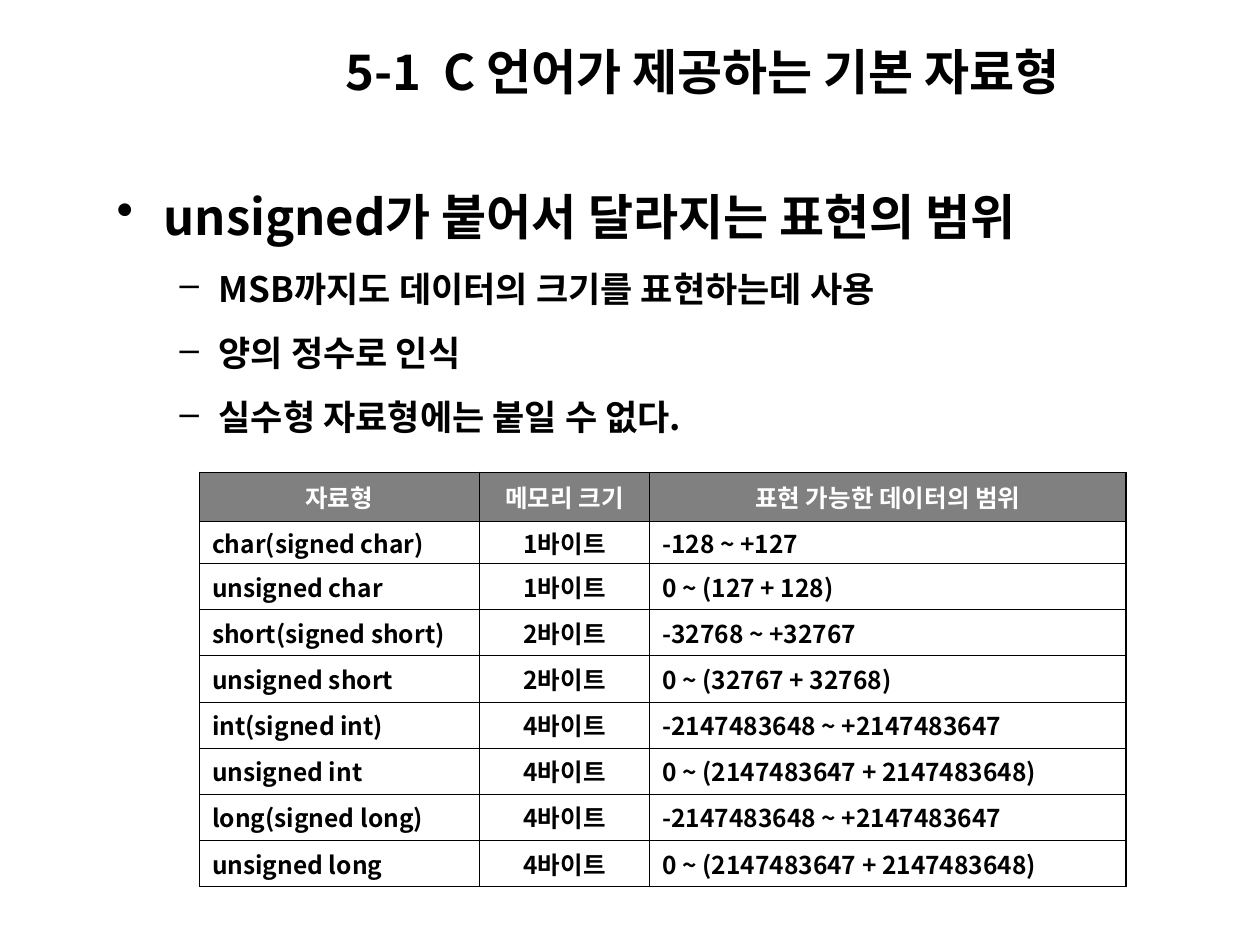
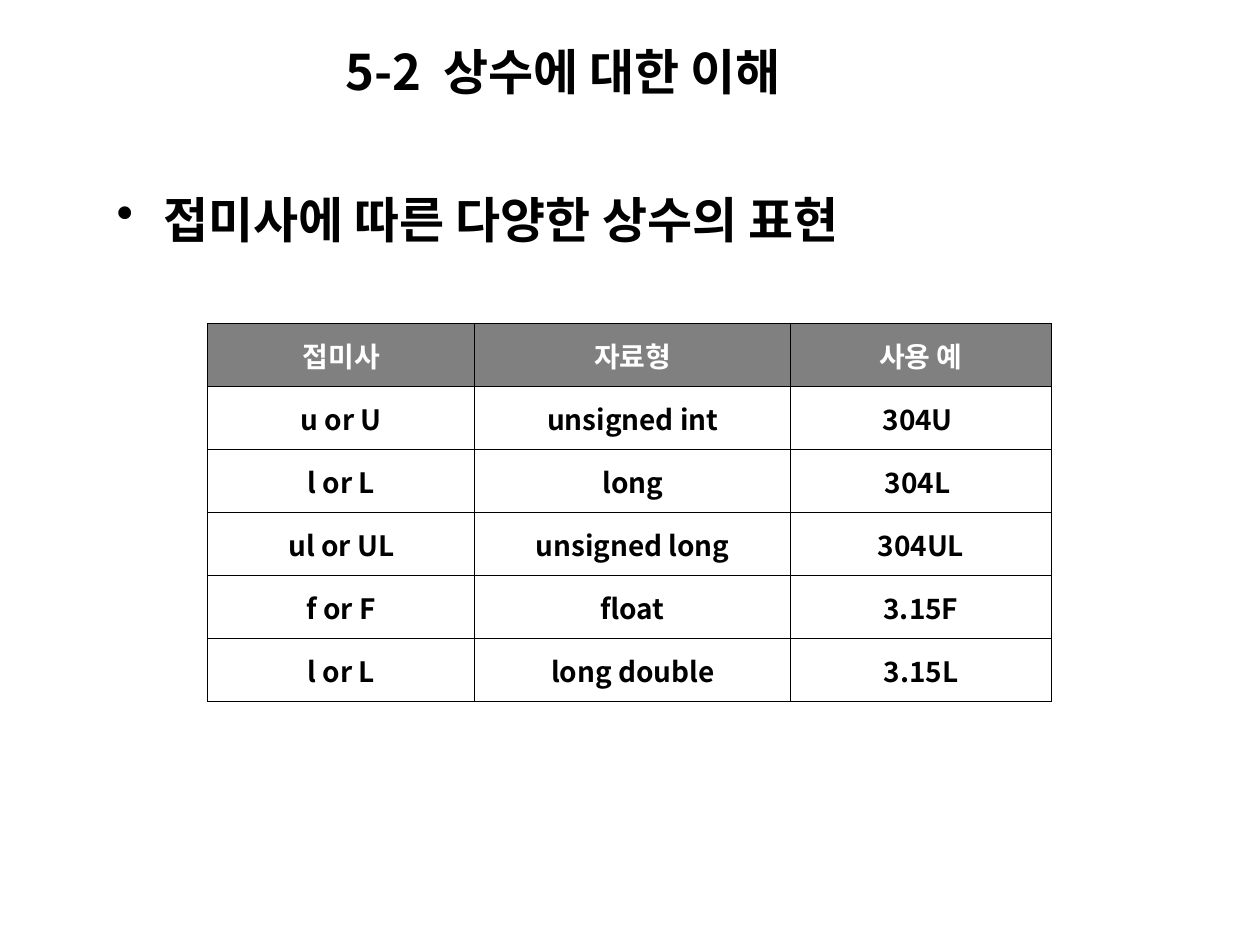
from lxml import etree
from pptx import Presentation
from pptx.dml import color
from pptx.enum import text
from pptx.oxml import ns
from pptx.util import Cm, Pt

FONT = "Noto Sans CJK KR"
BLACK, WHITE, GRAY = "000000", "FFFFFF", "808080"
OUTER, INNER = 0.75, 0.45
LEFT, CENTER = text.PP_ALIGN.LEFT, text.PP_ALIGN.CENTER
BULLETS = [
    {"mark": "•", "size": 28, "line": 46, "before": 7, "margin": 0.95, "hang": 0.95},
    {"mark": "–", "size": 20, "line": 31.7, "before": 5, "margin": 2.06, "hang": 0.79},
]

TYPE_ROWS = [
    ("자료형", "메모리 크기", "표현 가능한 데이터의 범위"),
    ("char(signed char)", "1바이트", "-128 ~ +127"),
    ("unsigned char", "1바이트", "0 ~ (127 + 128)"),
    ("short(signed short)", "2바이트", "-32768 ~ +32767"),
    ("unsigned short", "2바이트", "0 ~ (32767 + 32768)"),
    ("int(signed int)", "4바이트", "-2147483648 ~ +2147483647"),
    ("unsigned int", "4바이트", "0 ~ (2147483647 + 2147483648)"),
    ("long(signed long)", "4바이트", "-2147483648 ~ +2147483647"),
    ("unsigned long", "4바이트", "0 ~ (2147483647 + 2147483648)"),
]
SUFFIX_ROWS = [
    ("접미사", "자료형", "사용 예"),
    ("u or U", "unsigned int", "304U "),
    ("l or L", "long", "304L "),
    ("ul or UL", "unsigned long", "304UL"),
    ("f or F", "float", "3.15F"),
    ("l or L", "long double", "3.15L"),
]


def rgb(value):
    """Turn a hex string into a colour."""
    return color.RGBColor.from_string(value)


def add_element(parent, tag, **attributes):
    """Append a drawing element to a parent."""
    return etree.SubElement(parent, ns.qn(tag), attributes)


def style_runs(paragraph, size, hex_color=BLACK):
    """Give every run the shared bold typeface."""
    for run in paragraph.runs:
        run.font.name = FONT
        run.font.size = Pt(size)
        run.font.bold = True
        run.font.color.rgb = rgb(hex_color)
        add_element(run.font._element, "a:ea", typeface=FONT)


def add_text_frame(slide, box):
    """Add a wrapping text box and return its frame."""
    frame = slide.shapes.add_textbox(*map(Cm, box)).text_frame
    frame.word_wrap = True
    return frame


def add_title(slide, title, box):
    """Place the section title."""
    frame = add_text_frame(slide, box)
    frame.vertical_anchor = text.MSO_ANCHOR.MIDDLE
    frame.text = title
    style_runs(frame.paragraphs[0], 28)


def add_bullets(slide, items, box):
    """Place a list of (level, wording) bullets."""
    frame = add_text_frame(slide, box)
    for index, (level, wording) in enumerate(items):
        look = BULLETS[level]
        paragraph = frame.add_paragraph() if index else frame.paragraphs[0]
        paragraph.text = wording
        paragraph.level = level
        paragraph.line_spacing = Pt(look["line"])
        if index:
            paragraph.space_before = Pt(look["before"])
        properties = paragraph._p.get_or_add_pPr()
        properties.set("marL", str(Cm(look["margin"])))
        properties.set("indent", str(-Cm(look["hang"])))
        bullet_color = add_element(properties, "a:buClr")
        add_element(bullet_color, "a:srgbClr", val=BLACK)
        add_element(properties, "a:buChar", char=look["mark"])
        style_runs(paragraph, look["size"])


def add_borders(cell, widths):
    """Draw the left, right, top and bottom borders of a cell."""
    properties = cell._tc.get_or_add_tcPr()
    for tag, width in zip(("a:lnL", "a:lnR", "a:lnT", "a:lnB"), widths):
        line = add_element(properties, tag, w=str(Pt(width)))
        fill = add_element(line, "a:solidFill")
        add_element(fill, "a:srgbClr", val=BLACK)


def add_grid(slide, rows, origin, widths, heights, size, alignments):
    """Place a table with a gray header and a heavier outer border."""
    box = (*origin, sum(widths), sum(heights))
    table = slide.shapes.add_table(len(rows), len(widths), *map(Cm, box)).table
    table.horz_banding = False
    for column, width in zip(table.columns, widths):
        column.width = Cm(width)
    for row, height in zip(table.rows, heights):
        row.height = Cm(height)
    last_row, last_column = len(rows) - 1, len(widths) - 1
    for r, values in enumerate(rows):
        for c, value in enumerate(values):
            cell = table.cell(r, c)
            cell.vertical_anchor = text.MSO_ANCHOR.MIDDLE
            cell.margin_top = cell.margin_bottom = Cm(0.05)
            edges = (c == 0, c == last_column, r == 0, r == last_row)
            add_borders(cell, [OUTER if edge else INNER for edge in edges])
            if r == 0:
                cell.fill.solid()
                cell.fill.fore_color.rgb = rgb(GRAY)
            else:
                cell.fill.background()
            cell.text = value
            paragraph = cell.text_frame.paragraphs[0]
            paragraph.alignment = alignments[c] if r else CENTER
            style_runs(paragraph, size, BLACK if r else WHITE)


def add_types_slide(slide):
    """Build the slide on the ranges of the basic types."""
    add_title(slide, "5-1  C 언어가 제공하는 기본 자료형", (6.71, 0.71, 17, 1.45))
    add_bullets(slide, [
        (0, "unsigned가 붙어서 달라지는 표현의 범위"),
        (1, "MSB까지도 데이터의 크기를 표현하는데 사용"),
        (1, "양의 정수로 인식"),
        (1, "실수형 자료형에는 붙일 수 없다."),
    ], (2.1, 3.2, 21.6, 5.64))
    heights = [0.99, 0.85] + [0.93] * (len(TYPE_ROWS) - 2)
    add_grid(slide, TYPE_ROWS, (4.02, 9.52), (5.64, 3.44, 9.6), heights, 14,
             (LEFT, CENTER, LEFT))


def add_suffixes_slide(slide):
    """Build the slide on the suffixes of constants."""
    add_title(slide, "5-2  상수에 대한 이해", (6.71, 0.71, 10.8, 1.45))
    add_bullets(slide, [(0, "접미사에 따른 다양한 상수의 표현")], (2.1, 3.25, 16.8, 1.8))
    heights = [1.27] * len(SUFFIX_ROWS)
    add_grid(slide, SUFFIX_ROWS, (4.19, 6.52), (5.38, 6.37, 5.25), heights, 16,
             (CENTER, CENTER, CENTER))


def main():
    """Build and save the presentation."""
    presentation = Presentation()
    presentation.slide_width, presentation.slide_height = Cm(25.4), Cm(19.05)
    for build in (add_types_slide, add_suffixes_slide):
        build(presentation.slides.add_slide(presentation.slide_layouts[6]))
    presentation.save("out.pptx")


if __name__ == "__main__":
    main()
